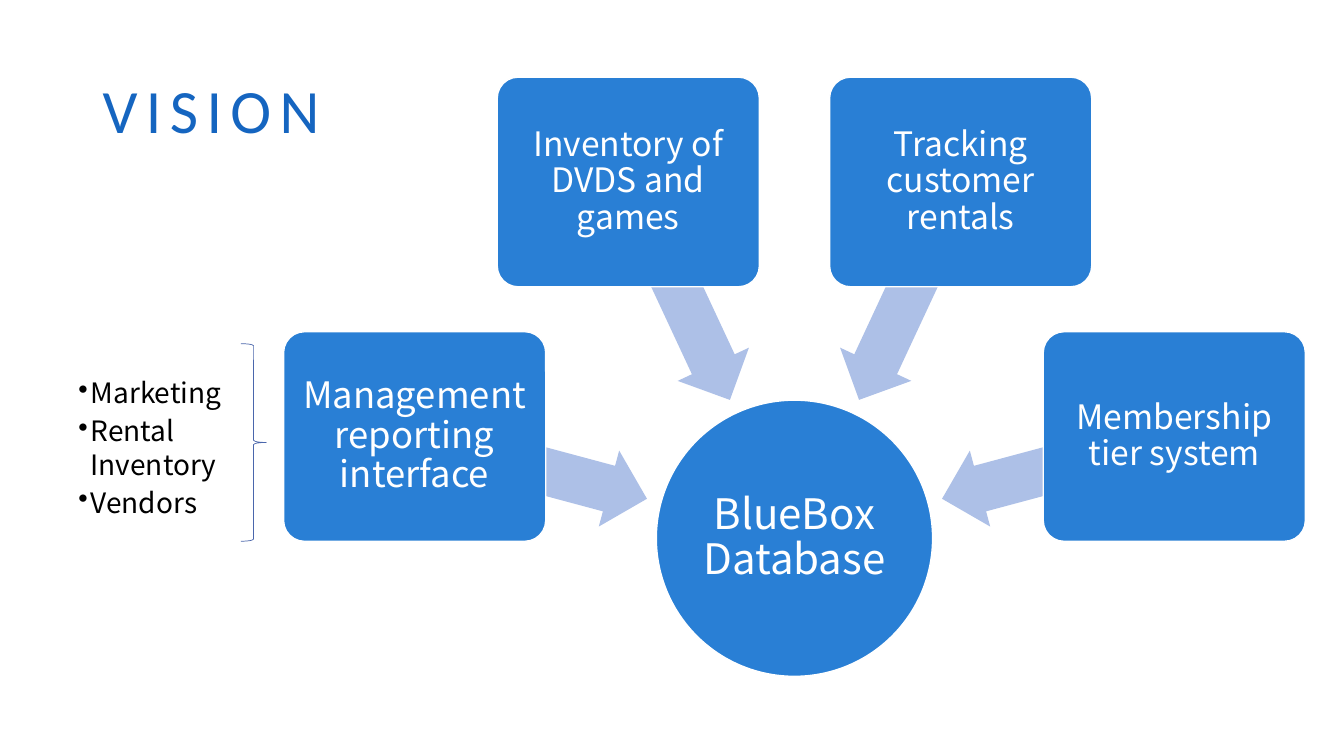
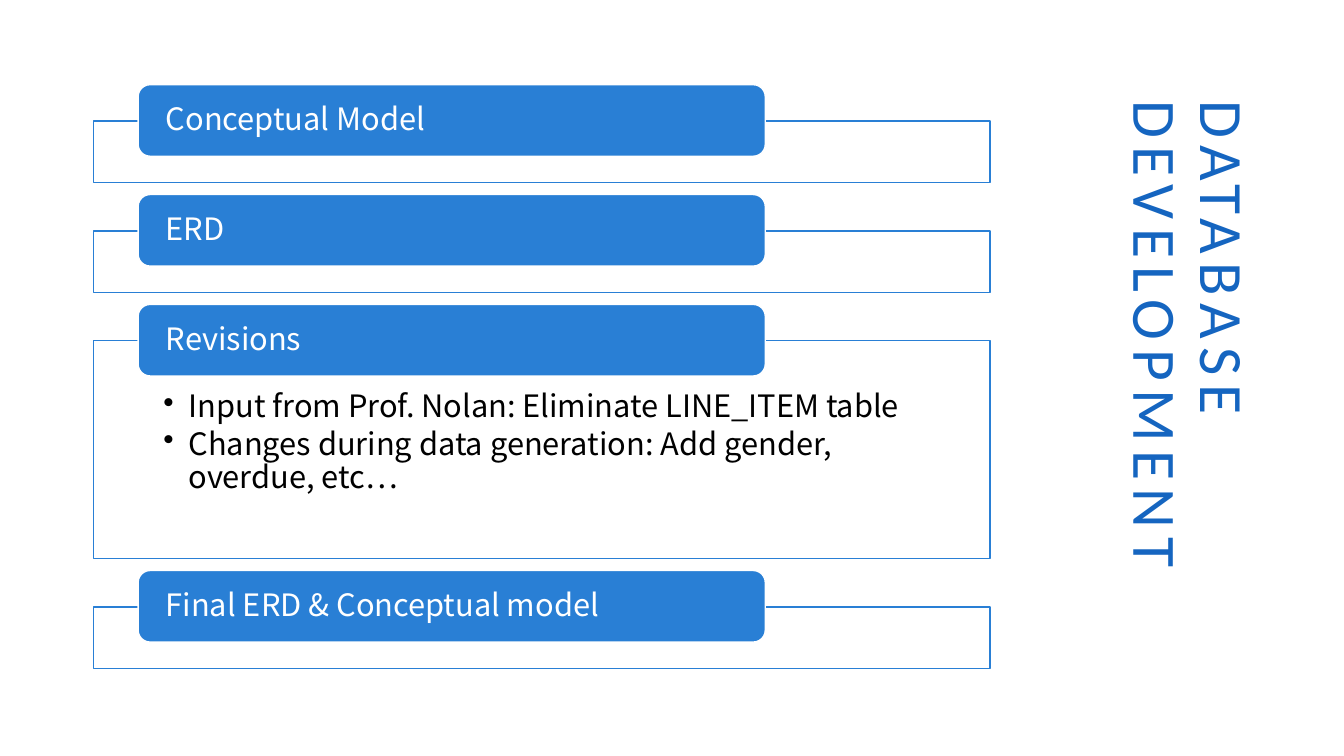
from math import cos, radians, sin

from lxml.etree import SubElement
from pptx import Presentation
from pptx.dml.color import RGBColor
from pptx.enum.shapes import MSO_SHAPE as Kind
from pptx.enum.text import MSO_ANCHOR as Anchor, PP_ALIGN as Align
from pptx.oxml.ns import qn
from pptx.util import Inches, Pt

BLUE, PALE, NAVY = "297FD5", "ADC0E7", "4A66AC"
TITLE, WHITE, BLACK = "1565C0", "FFFFFF", "000000"
BODY = "Noto Sans CJK TC"

HUB = "BlueBox Database"
NODES = [
    ("Management reporting interface", 26),
    ("Inventory of DVDS and games", 24),
    ("Tracking customer rentals", 24),
    ("Membership tier system", 24),
]
REPORTS = ["Marketing", "Rental Inventory", "Vendors"]
STEPS = [
    ("Conceptual Model", []),
    ("ERD", []),
    ("Revisions", [
        "Input from Prof. Nolan: Eliminate LINE_ITEM table",
        "Changes during data generation: Add gender, overdue, etc…",
    ]),
    ("Final ERD & Conceptual model", []),
]

MID = {"vertical_anchor": Anchor.MIDDLE}
TOP = {"vertical_anchor": Anchor.TOP}
CENTER = {"alignment": Align.CENTER, "line_spacing": 0.9}
LEFT = {"alignment": Align.LEFT, "line_spacing": 0.9}


def color(code):
    """Return the colour for a hex string."""
    return RGBColor.from_string(code)


def apply(obj, look):
    """Set each attribute named in a dict."""
    for key, value in look.items():
        setattr(obj, key, value)


def write(shape, lines, size, ink, para, frame, pads, font=BODY, indent=0, track=0):
    """Fill a shape with formatted paragraphs."""
    body = shape.text_frame
    sides = ("margin_left", "margin_top", "margin_right", "margin_bottom")
    apply(body, {"word_wrap": True, **frame, **dict(zip(sides, map(Inches, pads)))})
    for i, line in enumerate(lines):
        par = body.add_paragraph() if i else body.paragraphs[0]
        apply(par, para)
        run = par.add_run()
        run.text = line
        apply(run.font, {"name": font, "size": Pt(size)})
        run.font.color.rgb = color(ink)
        if track:
            run.font._element.set("spc", str(track * 100))
        if indent:
            par.space_after = Pt(round(size * 0.15))
            props = par._p.get_or_add_pPr()
            props.set("marL", str(Inches(indent)))
            props.set("indent", str(-Inches(indent)))
            SubElement(props, qn("a:buChar")).set("char", "•")


def draw(slide, kind, box, fill=None, line=None, width=1, adjust=(), turn=0):
    """Add a preset shape with its fill and line."""
    shape = slide.shapes.add_shape(kind, *map(Inches, box))
    shape.shadow.inherit = False
    shape.rotation = turn
    for i, value in enumerate(adjust):
        shape.adjustments[i] = value
    if fill:
        shape.fill.solid()
        shape.fill.fore_color.rgb = color(fill)
    else:
        shape.fill.background()
    if line:
        shape.line.color.rgb = color(line)
        shape.line.width = Pt(width)
    else:
        shape.line.fill.background()
    return shape


def head(slide, text, box, turn=0):
    """Add the slide title."""
    shape = slide.shapes.add_textbox(*map(Inches, box))
    shape.rotation = turn
    write(shape, [text], 44, TITLE, LEFT, MID, (0.1, 0.05, 0.1, 0.05), "Calibri", track=6)


def vision(slide):
    """Draw the hub with its four sources."""
    head(slide, "VISION", (0.92, 0.4, 11.5, 1.45))
    hub_x, hub_y, size = 7.88, 5.34, 2.74

    def around(angle, reach, wide, high):
        """Return a box centred on a ray from the hub."""
        x = hub_x + reach * cos(radians(angle))
        y = hub_y + reach * sin(radians(angle))
        return x - wide / 2, y - high / 2, wide, high

    hub = draw(slide, Kind.OVAL, around(0, 0, size, size), BLUE, WHITE)
    write(hub, [HUB], 30, WHITE, CENTER, MID, (0.02,) * 4)
    for i, (text, points) in enumerate(NODES):
        angle = 195 + 50 * i
        draw(slide, Kind.LEFT_ARROW, around(angle, 2.71, 2.39, 0.78), PALE,
             adjust=(0.6, 0.5), turn=angle)
        node = draw(slide, Kind.ROUNDED_RECTANGLE, around(angle, 3.9, 2.6, 2.08),
                    BLUE, WHITE, adjust=(0.1,))
        write(node, [text], points, WHITE, CENTER, MID, (0.05,) * 4)
    draw(slide, Kind.RIGHT_BRACE, (2.39, 3.41, 0.25, 1.96), line=NAVY, width=0.5)
    notes = slide.shapes.add_textbox(*map(Inches, (0.68, 3.68, 1.71, 1.55)))
    write(notes, REPORTS, 20, BLACK, {"alignment": Align.LEFT}, TOP,
          (0.1, 0.05, 0.1, 0.05), indent=0.12)


def steps(slide):
    """Draw the stack of development steps."""
    head(slide, "DATABASE DEVELOPMENT", (7.78, 4.16, 7.98, 1.45), 90)
    left, top, gap = 0.93, 1.2, 0.48
    for text, items in STEPS:
        high = 2.16 if items else 0.61
        frame = draw(slide, Kind.RECTANGLE, (left, top, 8.89, high), WHITE, BLUE)
        if items:
            write(frame, items, 22, BLACK, LEFT, TOP, (0.69, 0.5, 0.69, 0.17), indent=0.25)
        tab = draw(slide, Kind.ROUNDED_RECTANGLE, (left + 0.44, top - 0.36, 6.22, 0.71),
                   BLUE, WHITE)
        write(tab, [text], 22, WHITE, LEFT, MID, (0.24, 0, 0.24, 0))
        top += high + gap


def main():
    """Build and save the deck."""
    deck = Presentation()
    apply(deck, {"slide_width": Inches(13.33), "slide_height": Inches(7.5)})
    for build in (vision, steps):
        build(deck.slides.add_slide(deck.slide_layouts[6]))
    deck.save("out.pptx")


if __name__ == "__main__":
    main()
